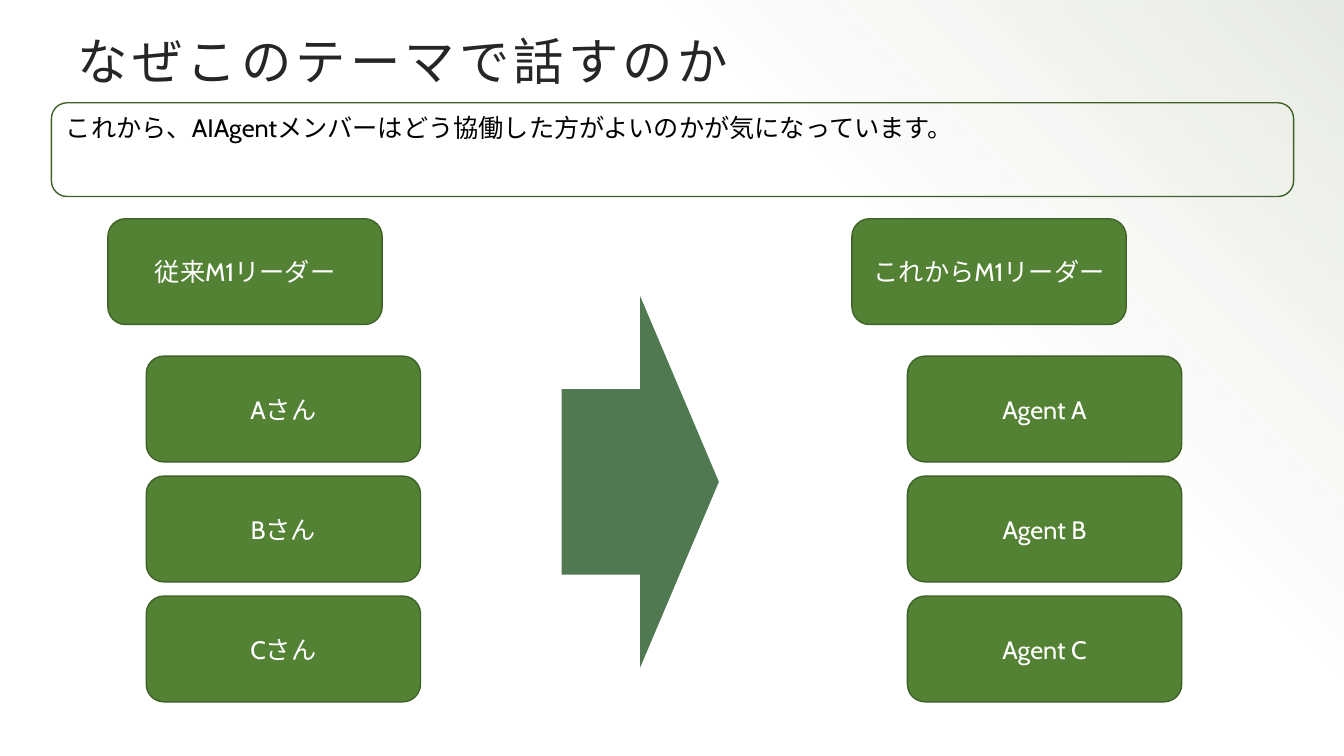
from pptx import Presentation
from pptx import oxml
from pptx import util as u
from pptx.dml.color import RGBColor
from pptx.enum import shapes, text
from pptx.oxml import ns

WIDTH, HEIGHT = u.Inches(13.33), u.Inches(7.5)

GREEN = RGBColor(0x54, 0x82, 0x35)
DARK_GREEN = RGBColor(0x3F, 0x61, 0x28)
ARROW_GREEN = RGBColor(0x50, 0x79, 0x52)
WHITE = RGBColor(0xFF, 0xFF, 0xFF)
BLACK = RGBColor(0x00, 0x00, 0x00)
TITLE_GREY = RGBColor(0x26, 0x26, 0x26)

# Shares of the slide's width and height, in percent
BOX_WIDTH, BOX_HEIGHT = 20.41, 14
LEADER_TOP = 28.93
MEMBER_TOP, MEMBER_PITCH = 47.1, 15.87

# Leader, left of leader, members, left of members
TEAMS = [
    ("従来M1リーダー", 8.03, ["Aさん", "Bさん", "Cさん"], 10.88),
    ("これからM1リーダー", 63.39, ["Agent A", "Agent B", "Agent C"], 67.52),
]


def place(left, top, width, height):
    """Turn percentages of the slide into lengths."""
    return [u.Emu(round(share * full / 100)) for share, full in
            ((left, WIDTH), (top, HEIGHT), (width, WIDTH), (height, HEIGHT))]


def add_shape(slide, kind, area, fill=None, line=None):
    shape = slide.shapes.add_shape(kind, *place(*area))
    shape.shadow.inherit = False
    if fill is None:
        shape.fill.background()
    else:
        shape.fill.solid()
        shape.fill.fore_color.rgb = fill
    if line is None:
        shape.line.fill.background()
    else:
        shape.line.color.rgb = line
        shape.line.width = u.Pt(1)
    return shape


def write(shape, words, size, font, color, anchor, align=text.PP_ALIGN.LEFT):
    frame = shape.text_frame
    frame.word_wrap = True
    frame.vertical_anchor = anchor
    frame.text = words
    paragraph = frame.paragraphs[0]
    paragraph.alignment = align
    run = paragraph.runs[0]
    run.font.size = u.Pt(size)
    run.font.name = font
    run.font.color.rgb = color
    return run


def add_corner_glow(slide):
    """Tint the right half, fading out from the top right corner."""
    glow = add_shape(slide, shapes.MSO_SHAPE.RECTANGLE, (46.59, 0, 53.41, 100), GREEN)
    gradient = oxml.parse_xml(
        f'<a:gradFill {ns.nsdecls("a")} rotWithShape="1"><a:gsLst>'
        f'<a:gs pos="0"><a:srgbClr val="{DARK_GREEN}"><a:alpha val="13000"/></a:srgbClr></a:gs>'
        f'<a:gs pos="47000"><a:srgbClr val="{GREEN}"><a:alpha val="0"/></a:srgbClr></a:gs>'
        '</a:gsLst><a:path path="circle"><a:fillToRect l="100000" b="100000"/></a:path>'
        '</a:gradFill>')
    properties = glow._element.spPr
    properties.replace(properties.find(ns.qn("a:solidFill")), gradient)


def add_title(slide, words):
    box = slide.shapes.add_textbox(*place(5.03, 2.4, 90.02, 10.27))
    run = write(box, words, 36, "Karla", TITLE_GREY, text.MSO_ANCHOR.BOTTOM)
    run.font._element.set("spc", "300")


def add_message(slide, words):
    frame = add_shape(slide, shapes.MSO_SHAPE.ROUNDED_RECTANGLE,
                      (3.83, 13.6, 92.42, 12.4), line=DARK_GREEN)
    write(frame, words, 18, "Cabin", BLACK, text.MSO_ANCHOR.TOP)


def add_person(slide, name, left, top):
    box = add_shape(slide, shapes.MSO_SHAPE.FLOWCHART_ALTERNATE_PROCESS,
                    (left, top, BOX_WIDTH, BOX_HEIGHT), GREEN, DARK_GREEN)
    write(box, name, 18, "Cabin", WHITE, text.MSO_ANCHOR.MIDDLE, text.PP_ALIGN.CENTER)


def add_team(slide, leader, leader_left, members, members_left):
    add_person(slide, leader, leader_left, LEADER_TOP)
    for row, member in enumerate(members):
        add_person(slide, member, members_left, MEMBER_TOP + row * MEMBER_PITCH)


def main():
    presentation = Presentation()
    presentation.slide_width, presentation.slide_height = WIDTH, HEIGHT
    slide = presentation.slides.add_slide(presentation.slide_layouts[6])
    add_corner_glow(slide)
    for team in TEAMS:
        add_team(slide, *team)
    add_shape(slide, shapes.MSO_SHAPE.RIGHT_ARROW, (41.79, 39.2, 11.7, 49.07), ARROW_GREEN)
    add_message(slide, "これから、AIAgentメンバーはどう協働した方がよいのかが気になっています。")
    add_title(slide, "なぜこのテーマで話すのか")
    presentation.save("out.pptx")


if __name__ == "__main__":
    main()
